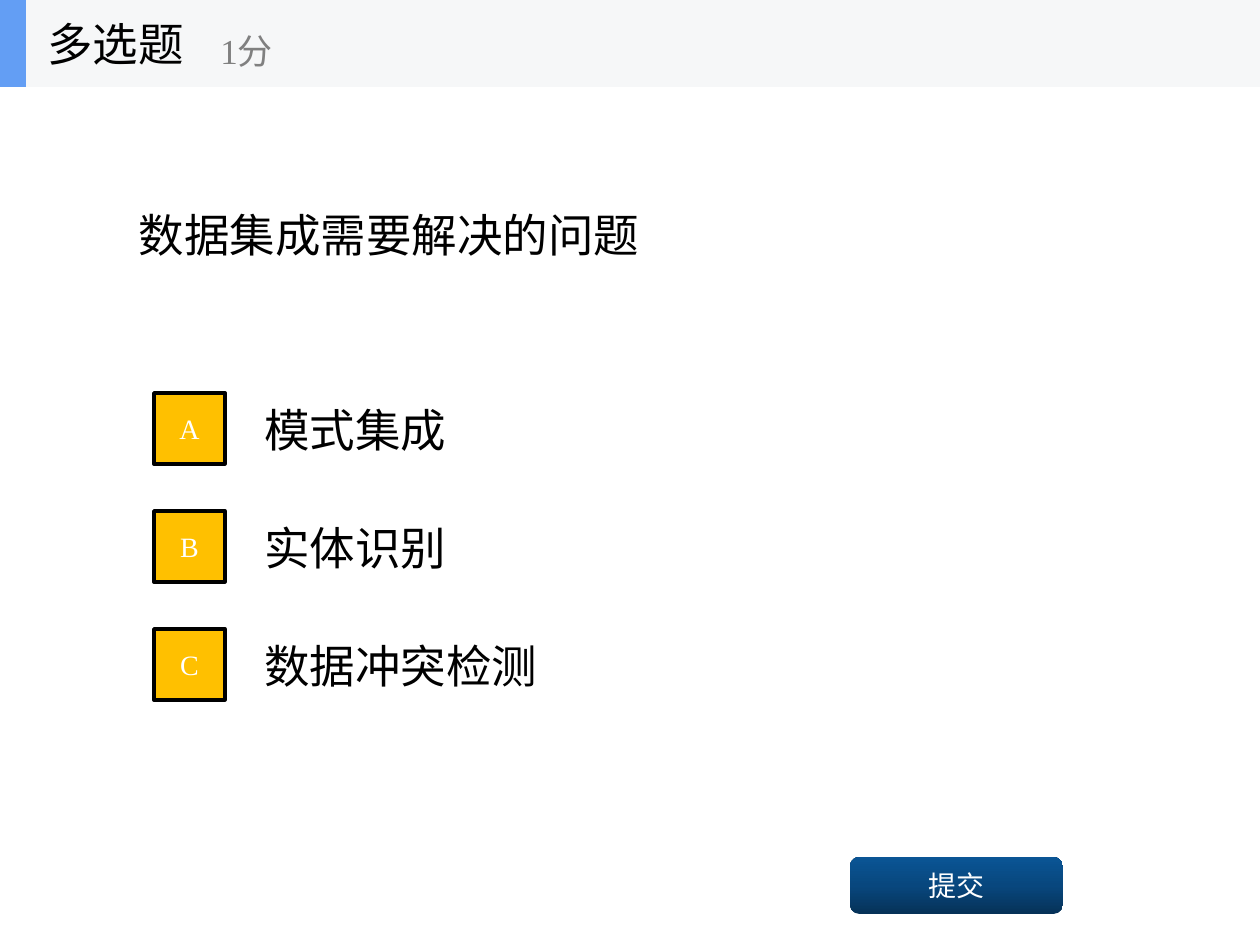
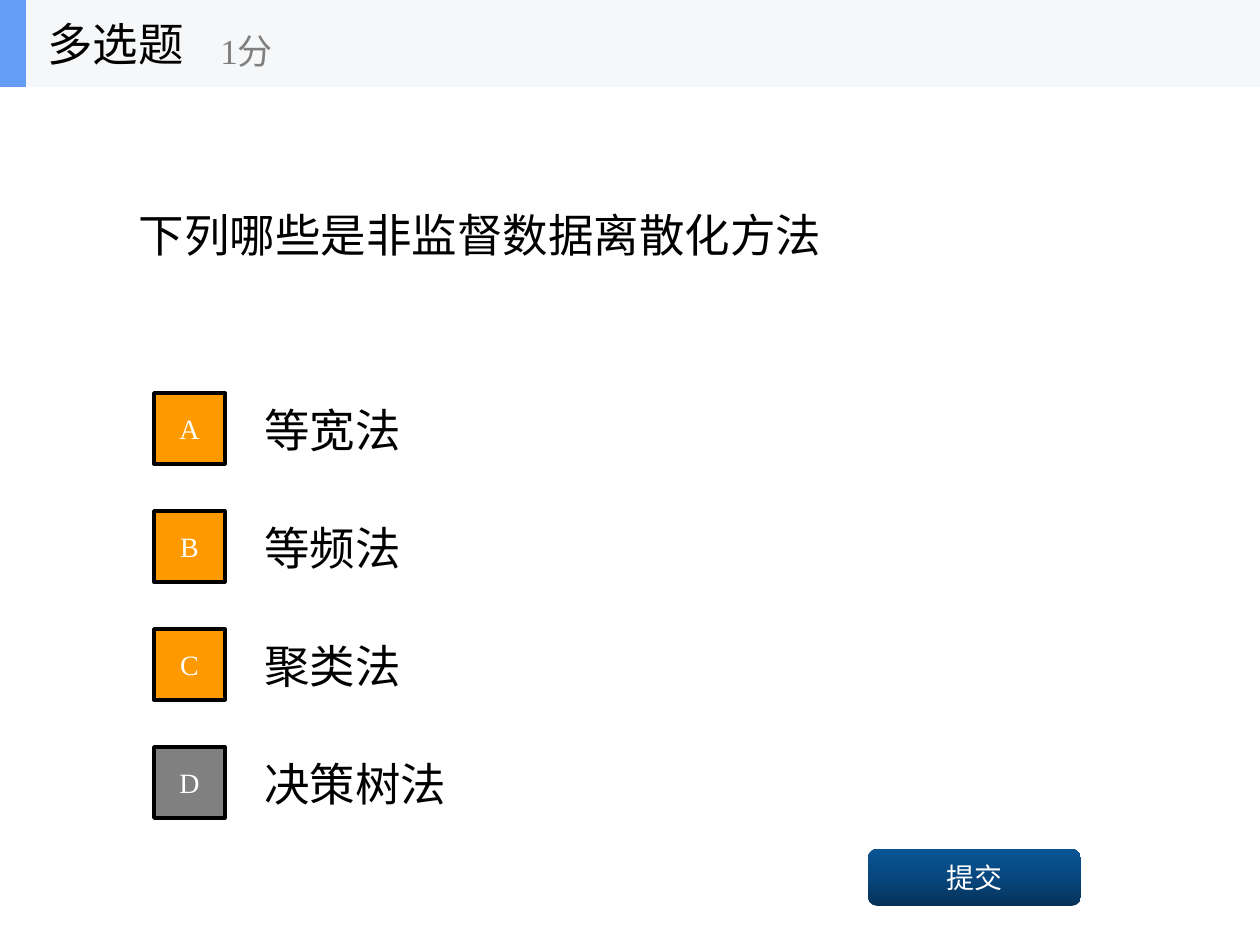
"""Build two multiple-choice quiz slides with a shared header, options and submit button."""
import copy
from dataclasses import dataclass

import pptx
import pptx.dml.color
import pptx.enum.shapes
import pptx.enum.text
import pptx.oxml.ns
import pptx.util

PX = 914400 / 126
WIDTH, HEIGHT = 1260, 945
FONT = "Times New Roman"
BLACK, WHITE, GRAY = "000000", "FFFFFF", "808080"
BAND, ACCENT = "F6F7F8", "639EF4"
BUTTON_STOPS = ((0, "063258"), (0.5, "08477E"), (1, "0A5595"))
BAND_H = 87
BOX, OPTION_H, PITCH = 71, 88, 118
SHAPE = pptx.enum.shapes.MSO_SHAPE
ALIGN = pptx.enum.text.PP_ALIGN


@dataclass(frozen=True)
class Option:
    text: str
    fill: str


@dataclass(frozen=True)
class Question:
    text: str
    options: tuple[Option, ...]
    submit_at: tuple[int, int]


QUESTIONS = (
    Question(
        "数据集成需要解决的问题",
        tuple(Option(t, "FFC000") for t in ("模式集成", "实体识别", "数据冲突检测")),
        (850, 857),
    ),
    Question(
        "下列哪些是非监督数据离散化方法",
        tuple(Option(t, "FF9900") for t in ("等宽法", "等频法", "聚类法"))
        + (Option("决策树法", GRAY),),
        (868, 849),
    ),
)


def emu(px: int) -> int:
    return round(px * PX)


def rgb(value: str) -> pptx.dml.color.RGBColor:
    return pptx.dml.color.RGBColor.from_string(value)


def write(sp, text: str, *, size: int = 26, color: str = BLACK, align=ALIGN.LEFT) -> None:
    tf = sp.text_frame
    tf.word_wrap = True
    tf.auto_size = pptx.enum.text.MSO_AUTO_SIZE.NONE
    tf.vertical_anchor = pptx.enum.text.MSO_ANCHOR.MIDDLE
    p = tf.paragraphs[0]
    p.alignment = align
    r = p.add_run()
    r.text = text
    r.font.name = FONT
    r.font.size = pptx.util.Pt(size)
    r.font.color.rgb = rgb(color)


def add_text(s, x: int, y: int, w: int, h: int, text: str, **fmt) -> None:
    write(s.shapes.add_textbox(*map(emu, (x, y, w, h))), text, **fmt)


def add_box(s, x: int, y: int, w: int, h: int, fill: str, kind=SHAPE.RECTANGLE):
    sp = s.shapes.add_shape(kind, *map(emu, (x, y, w, h)))
    sp.shadow.inherit = False
    sp.fill.solid()
    sp.fill.fore_color.rgb = rgb(fill)
    sp.line.fill.background()
    return sp


def add_header(s) -> None:
    add_box(s, 0, 0, WIDTH, BAND_H, BAND)
    add_box(s, 0, 0, 26, BAND_H, ACCENT)
    add_text(s, 35, 0, 262, BAND_H, "多选题")
    add_text(s, 208, 15, 315, 71, "1分", size=20, color=GRAY)


def add_question(s, text: str) -> None:
    sp = s.shapes.title
    sp.left, sp.top, sp.width, sp.height = map(emu, (126, BAND_H, 1008, 295))
    write(sp, text)


def add_option(s, index: int, option: Option) -> None:
    y = 393 + index * PITCH
    add_text(s, 252, y - (OPTION_H - BOX) // 2, 882, OPTION_H, option.text)
    sp = add_box(s, 154, y, BOX, BOX, option.fill)
    sp.line.color.rgb = rgb(BLACK)
    sp.line.width = pptx.util.Pt(2)
    write(sp, "ABCD"[index], size=16, color=WHITE, align=ALIGN.CENTER)


def add_submit(s, x: int, y: int) -> None:
    sp = add_box(s, x, y, 213, 57, BUTTON_STOPS[0][1], SHAPE.ROUNDED_RECTANGLE)
    sp.fill.gradient()
    sp.fill.gradient_angle = 90
    stops = sp._element.spPr.find(".//" + pptx.oxml.ns.qn("a:gsLst"))
    stops.append(copy.deepcopy(stops[0]))
    for stop, (position, color) in zip(sp.fill.gradient_stops, BUTTON_STOPS):
        stop.position = position
        stop.color.rgb = rgb(color)
    write(sp, "提交", size=16, color=WHITE, align=ALIGN.CENTER)


def main() -> None:
    prs = pptx.Presentation()
    prs.slide_width, prs.slide_height = emu(WIDTH), emu(HEIGHT)
    for question in QUESTIONS:
        s = prs.slides.add_slide(prs.slide_layouts[5])
        add_question(s, question.text)
        for index, option in enumerate(question.options):
            add_option(s, index, option)
        add_submit(s, *question.submit_at)
        add_header(s)
    prs.save("out.pptx")


if __name__ == "__main__":
    main()
